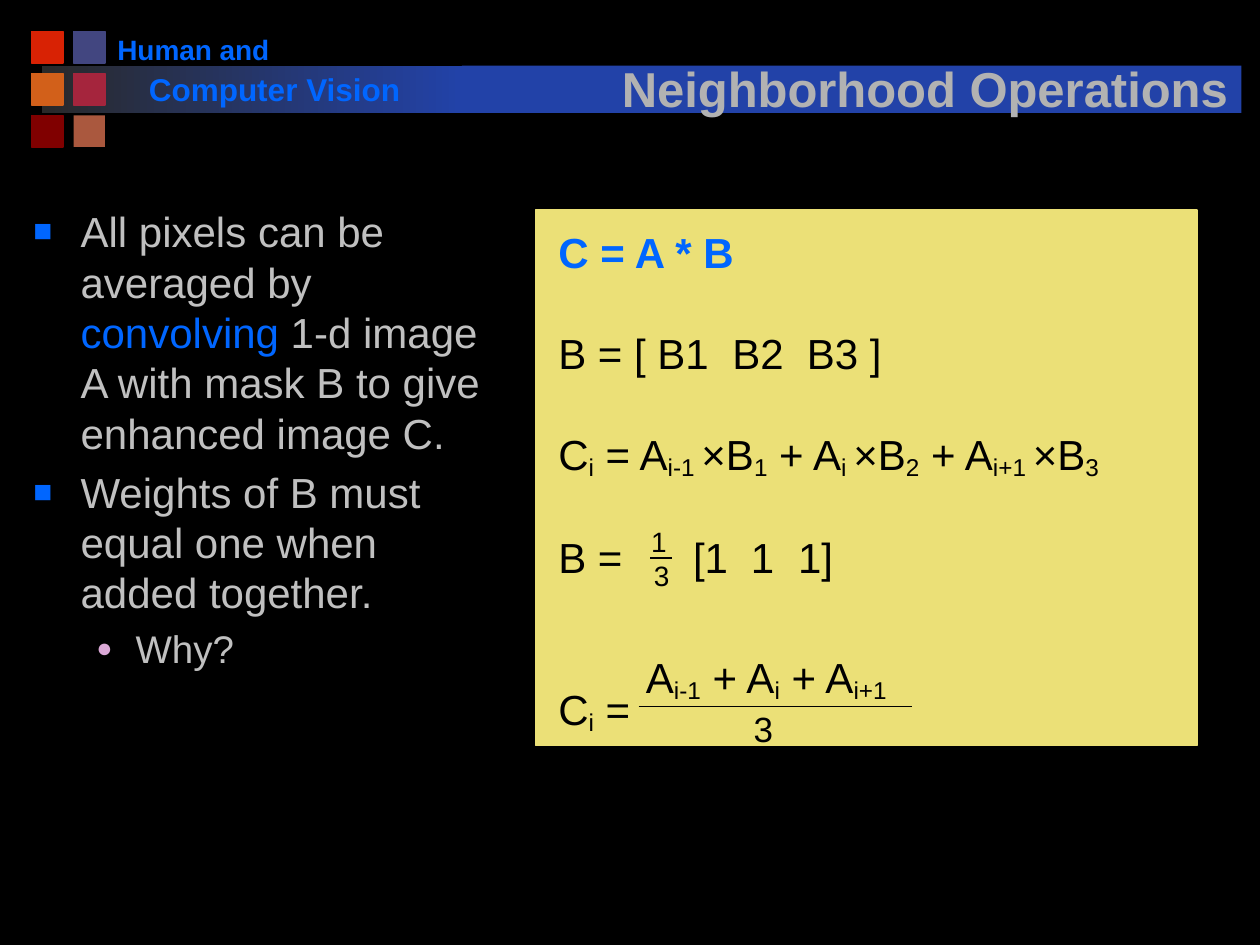
from lxml import etree
from pptx import Presentation
from pptx import util as u
from pptx.dml.color import RGBColor
from pptx.enum import shapes, text
from pptx.oxml import ns

Pt = u.Pt
BLACK = RGBColor(0, 0, 0)
BLUE = RGBColor(0x00, 0x66, 0xFF)
BAND = RGBColor(0x22, 0x42, 0xA8)
DARK = RGBColor(0x29, 0x29, 0x29)
GREY = RGBColor(0xB2, 0xB2, 0xB2)
SILVER = RGBColor(0xC0, 0xC0, 0xC0)
SAND = RGBColor(0xEB, 0xE0, 0x77)
PINK = RGBColor(0xDB, 0xA9, 0xD7)
TILES = [  # rows of fill colours
    [RGBColor(0xD8, 0x22, 0x04), RGBColor(0x42, 0x46, 0x80)],
    [RGBColor(0xD2, 0x60, 0x1A), RGBColor(0xA5, 0x25, 0x3D)],
    [RGBColor(0x80, 0x00, 0x00), RGBColor(0xAA, 0x58, 0x3E)],
]
LINE = 28.8  # one line of 24 pt text


def sub(parent, tag, **attrs):
    node = etree.SubElement(parent, ns.qn(tag))
    for key, value in attrs.items():
        node.set(key, str(value))
    return node


def write(para, words, size=24, color=BLACK, bold=False, mark=None):
    """Fill a paragraph; pieces between bars are subscripts, or take the mark colour."""
    for i, piece in enumerate(words.split("|")):
        run = para.add_run()
        run.text = piece
        font = run.font
        font.name, font.size, font.bold = "Arial", Pt(size), bold
        odd = i % 2 == 1
        font.color.rgb = mark if odd and mark else color
        if odd and not mark:
            font._element.set("baseline", "-15000")


def tabs(para, stops):
    """Set left tab stops, in points."""
    tab_list = sub(para._p.get_or_add_pPr(), "a:tabLst")
    for stop in stops:
        sub(tab_list, "a:tab", pos=Pt(stop), algn="l")


def bullet(para, char, color, scale, left, hang):
    props = para._p.get_or_add_pPr()
    props.set("marL", str(Pt(left)))
    props.set("indent", str(Pt(-hang)))
    sub(sub(props, "a:buClr"), "a:srgbClr", val=color)
    sub(props, "a:buSzPct", val=scale * 1000)
    sub(props, "a:buFont", typeface="Arial")
    sub(props, "a:buChar", char=char)


class Deck:
    def __init__(self):
        self.file = Presentation()
        self.file.slide_width, self.file.slide_height = Pt(720), Pt(540)
        self.slide = self.file.slides.add_slide(self.file.slide_layouts[6])
        fill = self.slide.background.fill
        fill.solid()
        fill.fore_color.rgb = BLACK

    def rect(self, x, y, w, h, color, end=None, edge=False):
        box = self.slide.shapes.add_shape(
            shapes.MSO_SHAPE.RECTANGLE, Pt(x), Pt(y), Pt(w), Pt(h))
        box.shadow.inherit = False
        if end:
            box.fill.gradient()
            box.fill.gradient_angle = 0
            for stop, tint in zip(box.fill.gradient_stops, (color, end)):
                stop.color.rgb = tint
        else:
            box.fill.solid()
            box.fill.fore_color.rgb = color
        if edge:
            box.line.color.rgb = color
            box.line.width = Pt(1)
        else:
            box.line.fill.background()

    def frame(self, x, y, w, h, wrap=True):
        box = self.slide.shapes.add_textbox(Pt(x), Pt(y), Pt(w), Pt(h))
        frame = box.text_frame
        frame.word_wrap = wrap
        if not wrap:
            frame.auto_size = text.MSO_AUTO_SIZE.SHAPE_TO_FIT_TEXT
        return frame

    def label(self, x, y, w, h, words, **style):
        write(self.frame(x, y, w, h, wrap=False).paragraphs[0], words, **style)

    def title(self, x, y, w, h, words, **style):
        frame = self.frame(x, y, w, h)
        frame.vertical_anchor = text.MSO_ANCHOR.BOTTOM
        para = frame.paragraphs[0]
        para.alignment = text.PP_ALIGN.CENTER
        write(para, words, **style)
        # Text shadow goes right after the fill of the run
        props = para.runs[0].font._element
        effects = etree.Element(ns.qn("a:effectLst"))
        shade = sub(effects, "a:outerShdw", dist=Pt(2.5), dir=2700000)
        sub(shade, "a:srgbClr", val=BLACK)
        props.find(ns.qn("a:solidFill")).addnext(effects)

    def rule(self, x, y, w):
        line = self.slide.shapes.add_connector(
            shapes.MSO_CONNECTOR.STRAIGHT, Pt(x), Pt(y), Pt(x + w), Pt(y))
        line.line.color.rgb = BLACK
        line.line.width = Pt(1)
        sub(line._element.spPr, "a:effectLst")


def main():
    deck = Deck()

    # Header band and tiles
    deck.rect(24, 37.5, 240, 27, DARK, end=BAND)
    for r, row in enumerate(TILES):
        for c, color in enumerate(row):
            deck.rect(18 + 24 * c, 18 + 24 * r, 18, 18, color, edge=(r, c) != (2, 1))
    deck.rect(264, 37.5, 445.5, 27, BAND)
    deck.label(60, 15, 102, 26.5, "Human and", size=16, color=BLUE, bold=True)
    deck.label(78, 36.75, 182, 29, "Computer Vision", size=18, color=BLUE, bold=True)
    deck.title(342, 22.5, 373, 48, "Neighborhood Operations",
               size=28, color=GREY, bold=True)

    # Bullet list
    square = ("■", BLUE, 75, 27, 27)
    dot = ("●", PINK, 70, 58.5, 22.5)
    points = [
        ("All pixels can be averaged by |convolving| 1-d image A with mask B "
         "to give enhanced image C.", 24, square),
        ("Weights of B must equal one when added together.", 24, square),
        ("Why?", 22, dot),
    ]
    body = deck.frame(12, 114, 282, 330)
    for i, (words, size, sign) in enumerate(points):
        para = body.add_paragraph() if i else body.paragraphs[0]
        bullet(para, *sign)
        para.level = 1 if sign is dot else 0
        if i:
            para.space_before = Pt(size * 0.2)
        write(para, words, size=size, color=SILVER, mark=BLUE)

    # Equation panel: words, blank lines above, tab stops
    deck.rect(306, 120, 378, 306, SAND, edge=True)
    rows = [
        ("C = A * B", 0, []),
        ("B = [ B1\tB2\tB3 ]", 1, [99.5, 142]),
        ("C|i| = A|i-1 |×B|1| + A|i |×B|2| + A|i+1 |×B|3", 1, []),
        ("B =\t[1\t1\t1]", 1, [77, 110, 137]),
        ("C|i| =", 2, []),
    ]
    sums = deck.frame(312, 126, 377, 294.5)
    for i, (words, gap, stops) in enumerate(rows):
        para = sums.add_paragraph() if i else sums.paragraphs[0]
        if gap:
            para.space_before = Pt(gap * LINE)
        if stops:
            tabs(para, stops)
        first = i == 0
        write(para, words, color=BLUE if first else BLACK, bold=first)

    # One third
    deck.label(365, 296, 23, 26.5, "1", size=16)
    deck.label(366.5, 315.5, 23, 26.5, "3", size=16)
    deck.rule(371.5, 319, 12.5)

    # Mean of three neighbours
    deck.label(362, 368.5, 160, 36, "A|i-1| + A|i| + A|i+1")
    deck.rule(365, 403.75, 156)
    deck.label(423.5, 401, 26, 31, "3", size=20)

    deck.file.save("out.pptx")


if __name__ == "__main__":
    main()
